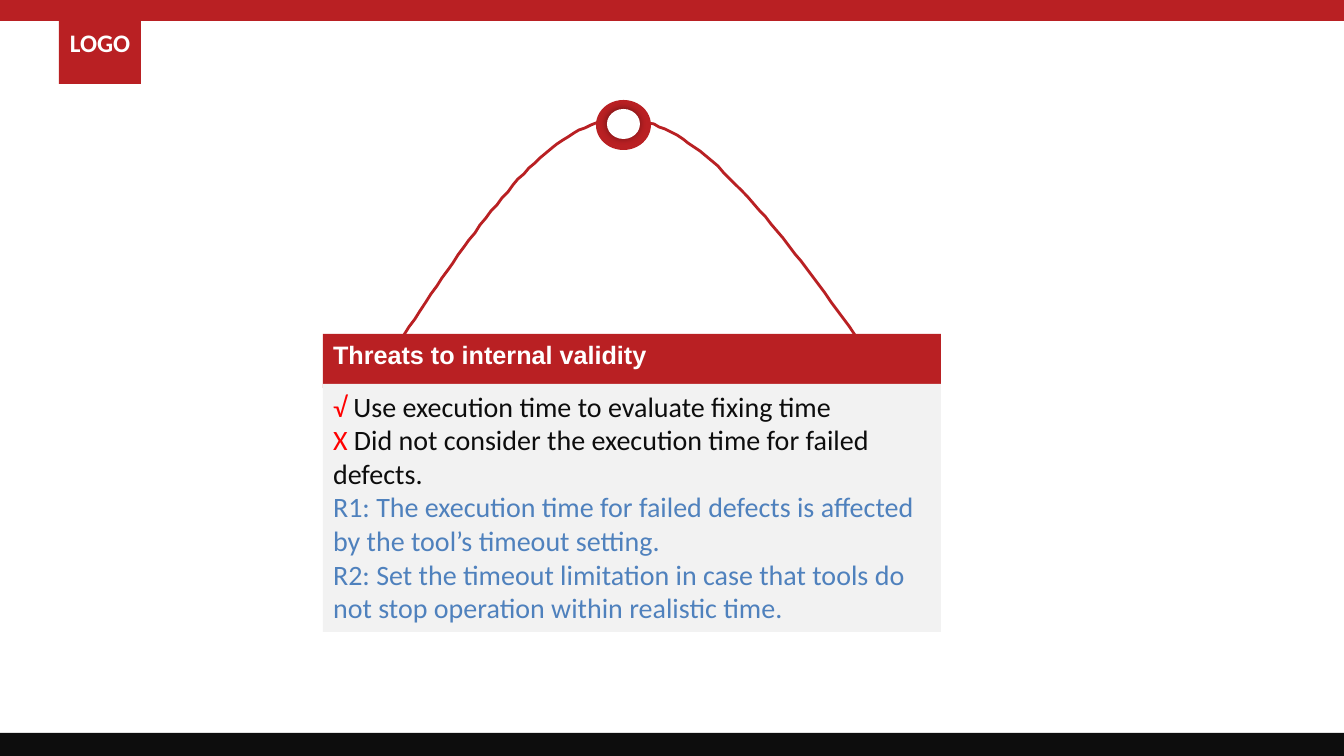
from lxml import etree
from pptx import Presentation
from pptx import util as u
from pptx.dml.color import RGBColor
from pptx.enum import shapes, text
from pptx.oxml.ns import qn

SCALE = 12192000 / 1344
COLORS = {
    "red": "B92023",
    "black": "0D0D0D",
    "white": "FFFFFF",
    "panel": "F2F2F2",
    "mark": "FF0000",
    "response": "4F81BD",
    "shadow": "000000",
}
CORD = [
    [(404, 335), (477, 226), (548, 117), (625, 119)],
    [(625, 119), (701, 120), (780, 232), (861, 343)],
]
CORD_STEPS = 40
FINDINGS = [
    [("√ ", "mark"), ("Use execution time to evaluate fixing time", "black")],
    [("X", "mark"), (" Did not consider the execution time for failed defects.", "black")],
    [("R1: The execution time for failed defects is affected by the tool’s timeout setting.", "response")],
    [("R2: Set the timeout limitation in case that tools do not stop operation within realistic time.", "response")],
]


def px(length):
    return u.Emu(round(length * SCALE))


def color(name):
    return RGBColor.from_string(COLORS[name])


def paint(shape, name):
    shape.fill.solid()
    shape.fill.fore_color.rgb = color(name)


def add_block(slide, kind, box, fill):
    shape = slide.shapes.add_shape(kind, *map(px, box))
    shape.shadow.inherit = False
    paint(shape, fill)
    shape.line.fill.background()
    return shape


def add_run(paragraph, words, name, size, font="Calibri", bold=False):
    run = paragraph.add_run()
    run.text = words
    run.font.name = font
    run.font.size = u.Pt(size)
    run.font.bold = bold
    run.font.color.rgb = color(name)


def place_panel(placeholder, box, fill):
    placeholder.left, placeholder.top, placeholder.width, placeholder.height = map(px, box)
    paint(placeholder, fill)
    frame = placeholder.text_frame
    frame.word_wrap = True
    frame.auto_size = text.MSO_AUTO_SIZE.NONE
    frame.vertical_anchor = text.MSO_ANCHOR.TOP
    return frame


def add_findings(frame):
    for index, runs in enumerate(FINDINGS):
        paragraph = frame.add_paragraph() if index else frame.paragraphs[0]
        properties = paragraph._p.get_or_add_pPr()
        properties.set("marL", "0")
        properties.set("indent", "0")
        etree.SubElement(properties, qn("a:buNone"))
        paragraph.space_before = u.Pt(0)
        for words, name in runs:
            add_run(paragraph, words, name, 20)


def curve_point(controls, t):
    weights = ((1 - t) ** 3, 3 * t * (1 - t) ** 2, 3 * t ** 2 * (1 - t), t ** 3)
    return tuple(
        sum(weight * point[axis] for weight, point in zip(weights, controls))
        for axis in (0, 1)
    )


def add_cord(slide):
    points = [
        curve_point(controls, step / CORD_STEPS)
        for controls in CORD
        for step in range(1, CORD_STEPS + 1)
    ]
    builder = slide.shapes.build_freeform(*CORD[0][0], scale=SCALE)
    builder.add_line_segments(points, close=False)
    cord = builder.convert_to_shape()
    cord.shadow.inherit = False
    cord.fill.background()
    cord.line.color.rgb = color("red")
    cord.line.width = u.Pt(2)


def add_glow_shadow(shape):
    effects = shape._element.spPr.find(qn("a:effectLst"))
    shadow = etree.SubElement(effects, qn("a:outerShdw"), blurRad=str(u.Pt(5)), dist="0", dir="0")
    tint = etree.SubElement(shadow, qn("a:srgbClr"), val=COLORS["shadow"])
    etree.SubElement(tint, qn("a:alpha"), val="40000")


def main():
    presentation = Presentation()
    presentation.slide_width, presentation.slide_height = px(1344), px(756)
    slide = presentation.slides.add_slide(presentation.slide_layouts[1])
    rectangle = shapes.MSO_SHAPE.RECTANGLE
    oval = shapes.MSO_SHAPE.OVAL

    add_block(slide, rectangle, (0, 733, 1344, 23), "black")
    badge = add_block(slide, rectangle, (59, 0, 82, 84), "red")
    badge.text_frame.word_wrap = True
    badge.text_frame.vertical_anchor = text.MSO_ANCHOR.MIDDLE
    label = badge.text_frame.paragraphs[0]
    label.alignment = text.PP_ALIGN.CENTER
    add_run(label, "LOGO", "white", 18, bold=True)
    add_block(slide, rectangle, (0, 0, 1344, 21), "red")

    heading = place_panel(slide.shapes.title, (323, 334, 618, 54), "red").paragraphs[0]
    heading.alignment = text.PP_ALIGN.LEFT
    add_run(heading, "Threats to internal validity", "white", 18, "Arial", True)
    add_findings(place_panel(slide.placeholders[1], (323, 384, 618, 248), "panel"))

    add_cord(slide)
    add_block(slide, oval, (596, 100, 55, 50), "red")
    add_glow_shadow(add_block(slide, oval, (607, 109, 33, 30), "white"))
    presentation.save("out.pptx")


if __name__ == "__main__":
    main()
